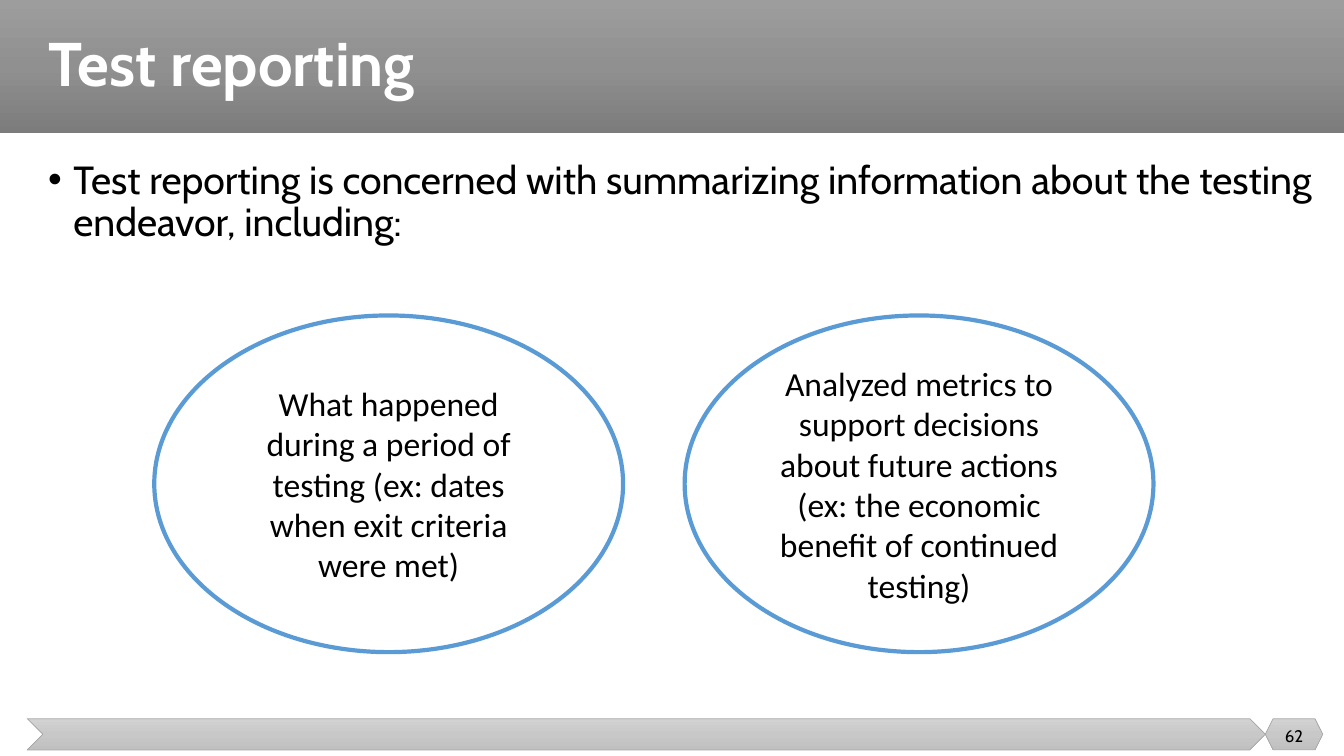
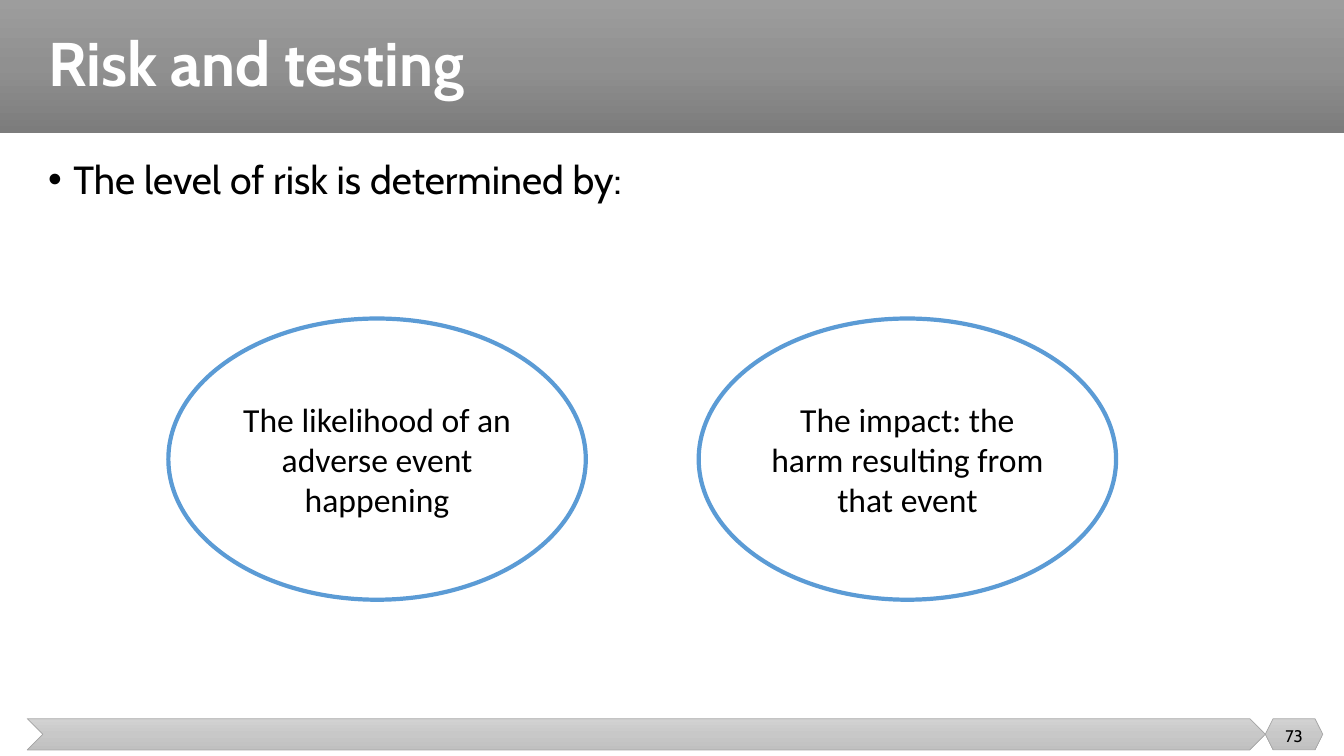
from copy import deepcopy
from dataclasses import dataclass

from lxml import etree
from pptx import Presentation
from pptx import util as u
from pptx.dml.color import RGBColor
from pptx.enum import shapes, text
from pptx.oxml import ns


@dataclass(frozen=True)
class Theme:
    heading_font: str = "Cabin"
    oval_font: str = "Calibri"
    title_size: int = 44
    body_size: int = 28
    oval_size: int = 24
    number_size: int = 12
    white: str = "FFFFFF"
    black: str = "000000"
    oval_line: str = "5B9BD5"
    footer_line: str = "A5A5A5"
    band_stops: tuple = ("9D9D9D", "909090", "7C7C7C")
    footer_stops: tuple = ("D2D2D2", "C8C8C8", "C0C0C0")


THEME = Theme()
TITLE_BOX = (0.38, 0, 12.74, 1.32)
BODY_BOX = (0.38, 1.54, 12.74, 5.19)
FOOTER_BOX = (0.27, 7.13, 12.85, 0.31)
OVAL_PITCH = 5.26

SLIDES = [
    {
        "title": "Test reporting",
        "lead": "Test reporting is concerned with summarizing information "
                "about the testing endeavor, including:",
        "number": "62",
        "first_oval": (1.53, 3.13, 4.65, 3.34),
        "inset": 0.15,
        "ovals": [
            ["What happened during a period of testing "
             "(ex: dates when exit criteria were met)"],
            ["Analyzed metrics to support decisions about future actions",
             "(ex: the economic benefit of continued testing)"],
        ],
    },
    {
        "title": "Risk and testing",
        "lead": "The level of risk is determined by:",
        "number": "73",
        "first_oval": (1.67, 3.16, 4.14, 2.79),
        "inset": 0.08,
        "ovals": [
            ["The likelihood of an adverse event happening"],
            ["The impact: the harm resulting from that event"],
        ],
    },
]


def inches(box):
    return [u.Inches(length) for length in box]


def add_shape(slide, kind, box, line_color=None, line_width=0):
    shape = slide.shapes.add_shape(kind, *inches(box))
    shape.shadow.inherit = False
    if line_color:
        shape.line.color.rgb = RGBColor.from_string(line_color)
        shape.line.width = u.Pt(line_width)
    else:
        shape.line.fill.background()
    return shape


def fill_gradient(shape, colors):
    shape.fill.gradient()
    shape.fill.gradient_angle = 270
    stop_list = shape.element.spPr.find(".//" + ns.qn("a:gsLst"))
    stop_list.insert(1, deepcopy(stop_list[0]))
    for index, (stop, color) in enumerate(zip(shape.fill.gradient_stops, colors)):
        stop.position = index / (len(colors) - 1)
        stop.color.rgb = RGBColor.from_string(color)


def write(shape, lines, font, size, color, bold=False,
          align=text.PP_ALIGN.LEFT, anchor=text.MSO_ANCHOR.MIDDLE):
    frame = shape.text_frame
    frame.word_wrap = True
    frame.vertical_anchor = anchor
    frame.text = "\n".join(lines)
    for paragraph in frame.paragraphs:
        paragraph.alignment = align
        paragraph.font.name = font
        paragraph.font.size = u.Pt(size)
        paragraph.font.bold = bold
        paragraph.font.color.rgb = RGBColor.from_string(color)
    return frame


def add_title(slide, box, title):
    left, top, width, height = box
    band_width = 13.33
    band = add_shape(slide, shapes.MSO_SHAPE.RECTANGLE, (0, top, band_width, height))
    fill_gradient(band, THEME.band_stops)
    title_box = slide.shapes.add_textbox(*inches(box))
    frame = write(title_box, [title], THEME.heading_font, THEME.title_size,
                  THEME.white, bold=True)
    frame.paragraphs[0].line_spacing = 0.9


def add_footer(slide, box, number):
    left, top, width, height = box
    number_width = 0.57
    number_left = left + width - number_width
    parts = [
        (shapes.MSO_SHAPE.CHEVRON, (left, top, width - number_width, height)),
        (shapes.MSO_SHAPE.HEXAGON, (number_left, top, number_width, height)),
    ]
    for kind, part_box in parts:
        part = add_shape(slide, kind, part_box, THEME.footer_line, 0.5)
        fill_gradient(part, THEME.footer_stops)
    number_box = slide.shapes.add_textbox(
        *inches((number_left, top - 0.03, number_width, 0.4)))
    write(number_box, [number], THEME.heading_font, THEME.number_size,
          THEME.black, align=text.PP_ALIGN.CENTER)


def add_lead(slide, box, lead):
    lead_box = slide.shapes.add_textbox(*inches(box))
    frame = write(lead_box, [lead], THEME.heading_font, THEME.body_size,
                  THEME.black, anchor=text.MSO_ANCHOR.TOP)
    paragraph = frame.paragraphs[0]
    paragraph.line_spacing = 0.9
    paragraph.space_before = u.Pt(10)
    properties = paragraph._p.get_or_add_pPr()
    properties.set("marL", str(u.Inches(0.25)))
    properties.set("indent", str(u.Inches(-0.25)))
    bullet_font = etree.SubElement(properties, ns.qn("a:buFont"))
    bullet_font.set("typeface", "Arial")
    bullet = etree.SubElement(properties, ns.qn("a:buChar"))
    bullet.set("char", "•")
    properties.append(properties.find(ns.qn("a:defRPr")))


def add_ovals(slide, first_box, ovals, inset):
    left, top, width, height = first_box
    for index, lines in enumerate(ovals):
        box = (left + index * OVAL_PITCH, top, width, height)
        oval = add_shape(slide, shapes.MSO_SHAPE.OVAL, box, THEME.oval_line, 3)
        oval.fill.solid()
        oval.fill.fore_color.rgb = RGBColor.from_string(THEME.white)
        frame = write(oval, lines, THEME.oval_font, THEME.oval_size,
                      THEME.black, align=text.PP_ALIGN.CENTER)
        frame.margin_left = frame.margin_right = u.Inches(inset)


def add_oval_slide(presentation, content):
    slide = presentation.slides.add_slide(presentation.slide_layouts[6])
    add_title(slide, TITLE_BOX, content["title"])
    add_lead(slide, BODY_BOX, content["lead"])
    add_ovals(slide, content["first_oval"], content["ovals"], content["inset"])
    add_footer(slide, FOOTER_BOX, content["number"])


def main():
    presentation = Presentation()
    presentation.slide_width = u.Inches(13.33)
    presentation.slide_height = u.Inches(7.5)
    for content in SLIDES:
        add_oval_slide(presentation, content)
    presentation.save("out.pptx")


if __name__ == "__main__":
    main()
